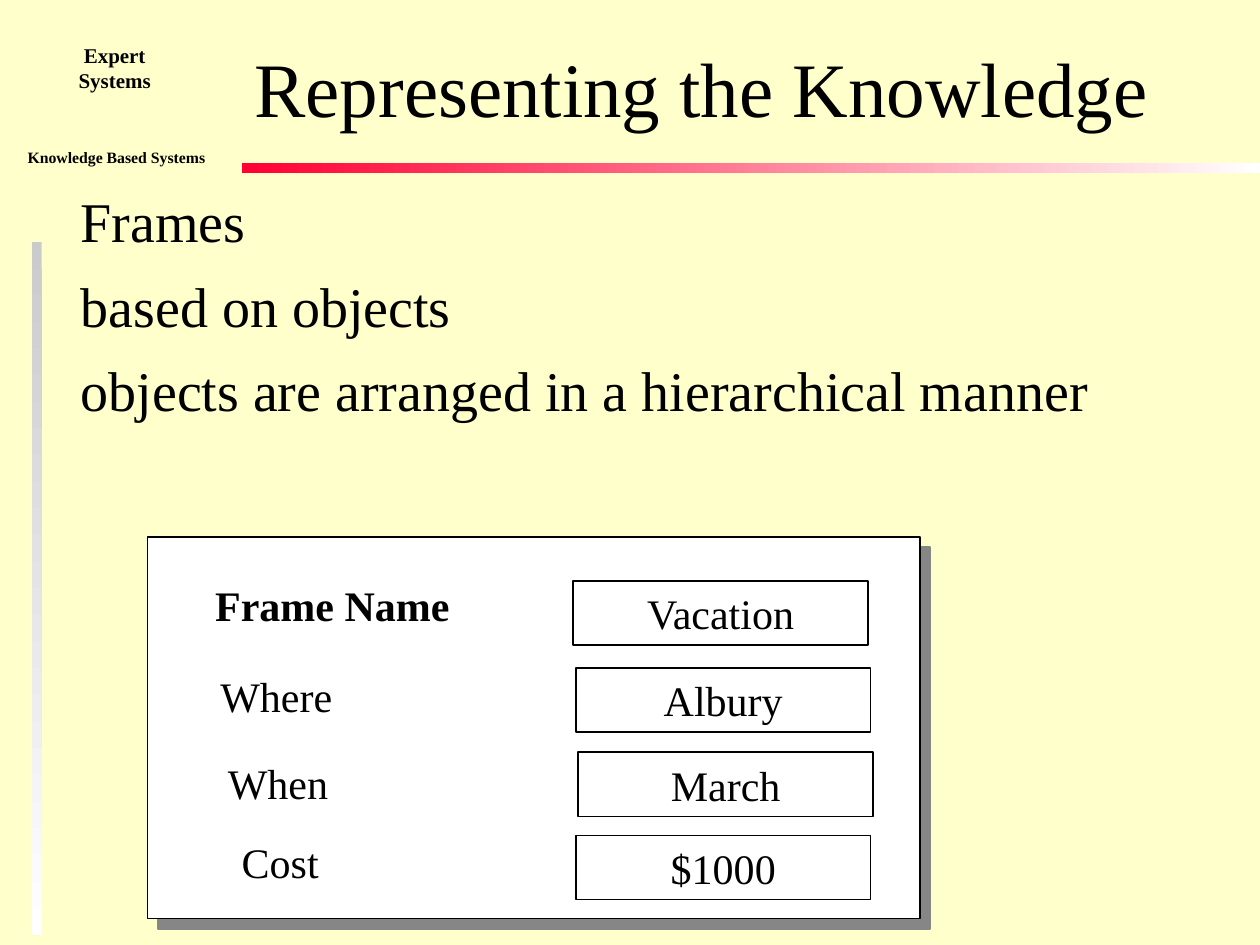
from dataclasses import dataclass

from lxml.etree import SubElement
from pptx import Presentation
from pptx.dml.color import RGBColor
from pptx.enum.shapes import MSO_SHAPE as Shape
from pptx.enum.text import MSO_ANCHOR as Anchor, MSO_AUTO_SIZE as AutoSize, PP_ALIGN as Align
from pptx.oxml.ns import qn
from pptx.util import Inches, Pt

TITLE = "Representing the Knowledge"
BODY = ["Frames", "based on objects", "objects are arranged in a hierarchical manner"]
COURSE = ["Expert", "Systems"]
SUBJECT = ["Knowledge Based Systems"]

BARS = [
    ((1.92, 1.29, 8.08, 0.08), ("FF0033", "FFFFFF"), 0),
    ((0.25, 1.92, 0.08, 5.5), ("CBCBCB", "FFFFFF"), 270),
]
FRAME = (1.17, 4.26, 6.13, 3.03)
VALUE_SIZE = (2.34, 0.51)
SLOTS = [
    ("Frame Name", (1.61, 4.55, 2.06, 0.5), "Vacation", (4.55, 4.61)),
    ("Where", (1.65, 5.27, 1.09, 0.5), "Albury", (4.57, 5.3)),
    ("When", (1.71, 5.96, 1, 0.5), "March", (4.59, 5.97)),
    ("Cost", (1.82, 6.59, 0.81, 0.5), "$1000", (4.57, 6.63)),
]


@dataclass(frozen=True)
class Theme:
    font: str = "Times New Roman"
    background: str = "FFFFCC"
    ink: str = "000000"
    paper: str = "FFFFFF"
    shadow: str = "868686"
    title: int = 44
    body: int = 32
    slot: int = 24
    course: int = 12
    subject: int = 9


THEME = Theme()


def color(value):
    return RGBColor.from_string(value)


def box(values):
    return [Inches(value) for value in values]


def write(shape, lines, size, align=Align.LEFT, bold=False, wrap=True,
          anchor=Anchor.TOP, gap=0):
    frame = shape.text_frame
    frame.auto_size = AutoSize.NONE
    frame.word_wrap = wrap
    frame.vertical_anchor = anchor
    for index, line in enumerate(lines):
        paragraph = frame.paragraphs[0] if index == 0 else frame.add_paragraph()
        paragraph.alignment = align
        paragraph.space_before = Pt(gap if index else 0)
        run = paragraph.add_run()
        run.text = line
        run.font.name = THEME.font
        run.font.size = Pt(size)
        run.font.bold = bold
        run.font.color.rgb = color(THEME.ink)


def add_text(shapes, place, lines, size, **style):
    write(shapes.add_textbox(*box(place)), lines, size, **style)


def add_bar(shapes, place, ends, angle):
    bar = shapes.add_shape(Shape.RECTANGLE, *box(place))
    bar.shadow.inherit = False
    bar.line.fill.background()
    bar.fill.gradient()
    bar.fill.gradient_angle = angle
    for stop, end in zip(bar.fill.gradient_stops, ends):
        stop.color.rgb = color(end)


def add_panel(shapes, place):
    panel = shapes.add_shape(Shape.RECTANGLE, *box(place))
    panel.shadow.inherit = False
    panel.fill.solid()
    panel.fill.fore_color.rgb = color(THEME.paper)
    panel.line.color.rgb = color(THEME.ink)
    panel.line.width = Pt(1)
    return panel


def drop_shadow(shape):
    effects = shape._element.spPr.find(qn("a:effectLst"))
    shadow = SubElement(effects, qn("a:outerShdw"), dist=str(Pt(8.5)),
                        dir="2700000", algn="ctr", rotWithShape="0")
    SubElement(shadow, qn("a:srgbClr"), val=THEME.shadow)


def place_placeholder(shape, place):
    shape.left, shape.top, shape.width, shape.height = box(place)


def remove_bullets(shape):
    for paragraph in shape.text_frame.paragraphs:
        properties = paragraph._p.get_or_add_pPr()
        properties.set("marL", "0")
        properties.set("indent", "0")
        SubElement(properties, qn("a:buNone"))


def main():
    presentation = Presentation()
    presentation.slide_width, presentation.slide_height = Inches(10), Inches(7.5)
    slide = presentation.slides.add_slide(presentation.slide_layouts[1])
    slide.background.fill.solid()
    slide.background.fill.fore_color.rgb = color(THEME.background)

    for bar in BARS:
        add_bar(slide.shapes, *bar)
    add_text(slide.shapes, (0.12, 1.12, 1.61, 0.25), SUBJECT, THEME.subject,
             bold=True, wrap=False)
    add_text(slide.shapes, (0.15, 0.29, 1.52, 0.5), COURSE, THEME.course,
             bold=True, align=Align.CENTER)

    title, body = slide.placeholders
    place_placeholder(title, (1.92, 0.33, 7.81, 0.71))
    write(title, [TITLE], THEME.title, anchor=Anchor.MIDDLE)
    place_placeholder(body, (0.54, 1.38, 9.12, 5.87))
    write(body, BODY, THEME.body, gap=10)
    body.text_frame.margin_top = Inches(0.1)
    remove_bullets(body)

    group = slide.shapes.add_group_shape().shapes
    drop_shadow(add_panel(group, FRAME))
    for index, (label, label_place, value, corner) in enumerate(SLOTS):
        write(add_panel(group, corner + VALUE_SIZE), [value], THEME.slot,
              align=Align.CENTER, wrap=False, anchor=Anchor.MIDDLE)
        add_text(group, label_place, [label], THEME.slot, bold=index == 0, wrap=False)

    presentation.save("out.pptx")


if __name__ == "__main__":
    main()
